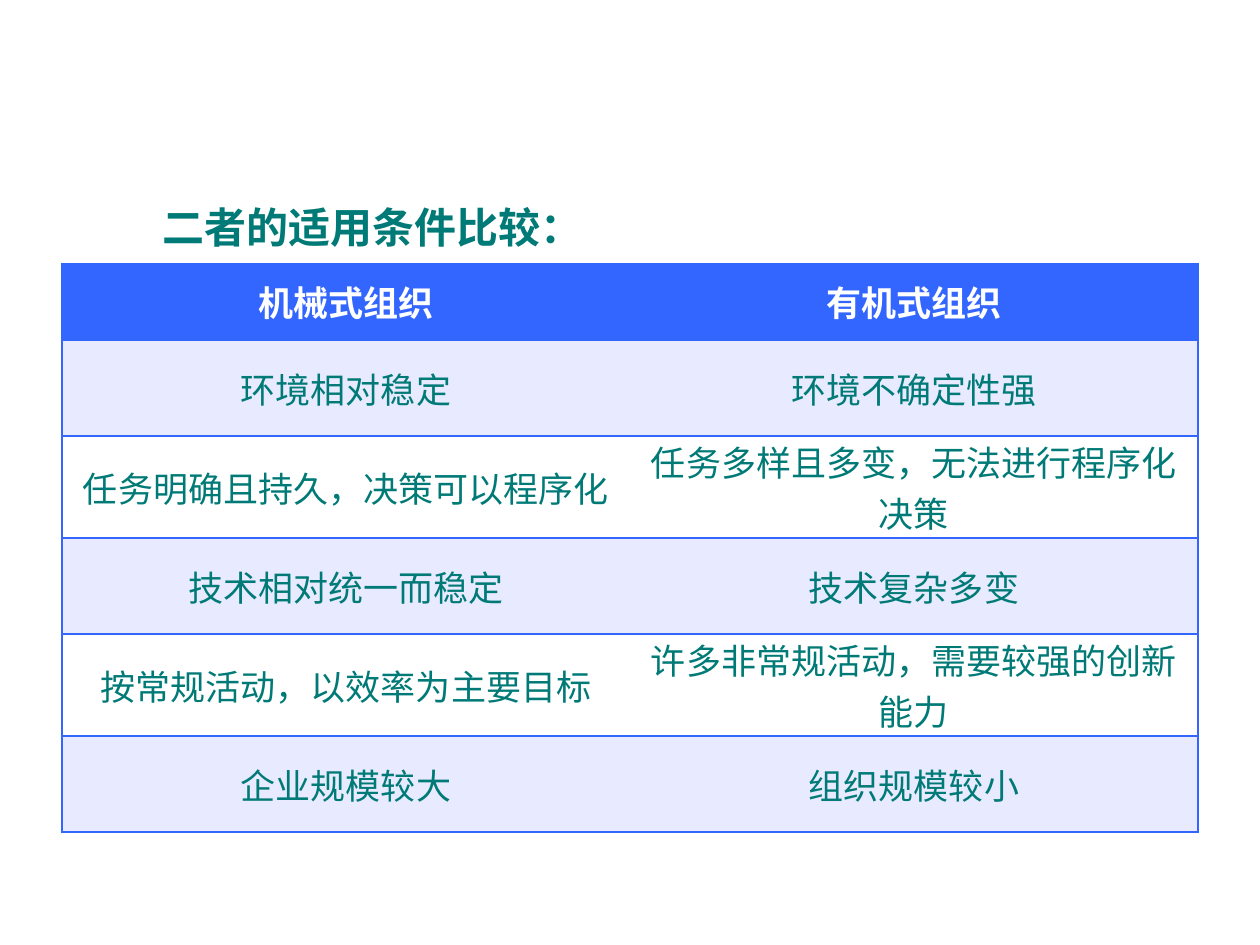
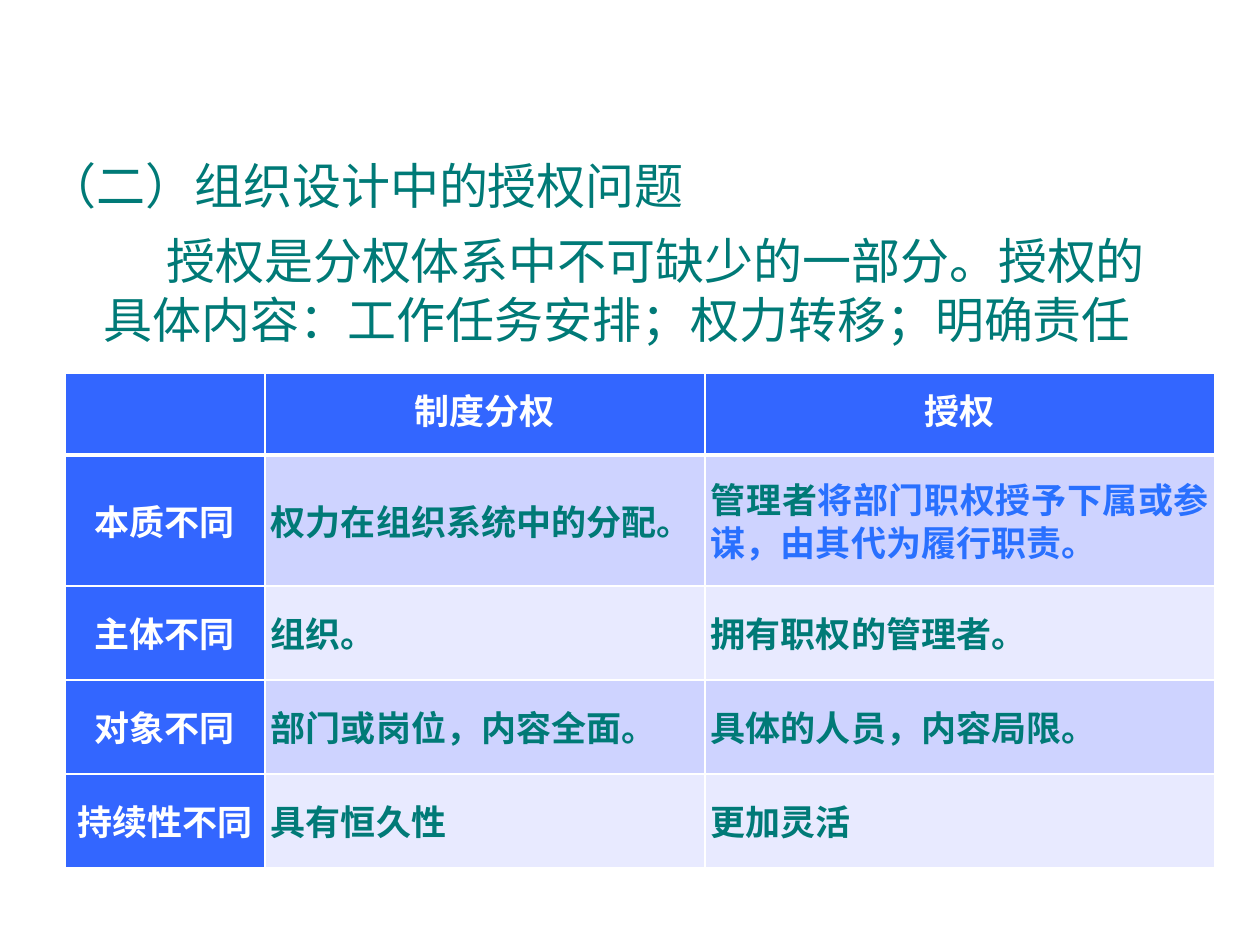
from lxml import etree
from pptx import Presentation
from pptx.dml.color import RGBColor
from pptx.enum.text import MSO_ANCHOR as ANCHOR, MSO_AUTO_SIZE as AUTO_SIZE, PP_ALIGN as ALIGN
from pptx.oxml.ns import qn
from pptx.util import Pt

EMU_PER_PX = 914400 / 126
TITLE_ONLY = 5
COLORS = {
    "teal": "007A77",
    "blue": "3366FF",
    "accent": "2970FF",
    "band": "CED3FF",
    "pale": "E8EAFF",
    "white": "FFFFFF",
}
LATIN, CJK = "Arial", "Noto Sans CJK SC"

HEADING = {"font": {"name": LATIN, "size": Pt(24), "bold": True}, "color": "teal",
           "paragraph": {"alignment": ALIGN.LEFT, "line_spacing": 1.0}}
SECTION = {"font": {"name": CJK, "size": Pt(28), "bold": False}, "color": "teal",
           "paragraph": {"alignment": ALIGN.LEFT, "line_spacing": 0.9}}
BODY = {**SECTION, "font": {"name": LATIN, "size": Pt(28), "bold": False},
        "paragraph": {"alignment": ALIGN.LEFT}}
CELL_BOLD = {"name": LATIN, "size": Pt(20), "bold": True}
LABEL = {"font": CELL_BOLD, "color": "white",
         "paragraph": {"alignment": ALIGN.CENTER, "line_spacing": Pt(25)}}
COLUMN_HEAD = {**LABEL, "paragraph": {"alignment": ALIGN.CENTER, "line_spacing": 1.5}}
DIFFERENCE = {"font": CELL_BOLD, "color": "teal",
              "paragraph": {"alignment": ALIGN.JUSTIFY, "line_spacing": Pt(25)}}
CONDITION = {"font": {"name": CJK, "size": Pt(20), "bold": False}, "color": "teal",
             "paragraph": {"alignment": ALIGN.CENTER}}

CONDITIONS = [
    ("机械式组织", "有机式组织"),
    ("环境相对稳定", "环境不确定性强"),
    ("任务明确且持久，决策可以程序化", "任务多样且多变，无法进行程序化决策"),
    ("技术相对统一而稳定", "技术复杂多变"),
    ("按常规活动，以效率为主要目标", "许多非常规活动，需要较强的创新能力"),
    ("企业规模较大", "组织规模较小"),
]
DIFFERENCES = [
    ("", "制度分权", "授权"),
    ("本质不同", "权力在组织系统中的分配。",
     [("管理者", "teal"), ("将部门职权授予下属或参谋，由其代为履行职责。", "accent")]),
    ("主体不同", "组织。", "拥有职权的管理者。"),
    ("对象不同", "部门或岗位，内容全面。", "具体的人员，内容局限。"),
    ("持续性不同", "具有恒久性", "更加灵活"),
]


def px(length):
    return round(length * EMU_PER_PX)


def rgb(color):
    return RGBColor.from_string(COLORS[color])


def set_all(target, values):
    for attribute, value in values.items():
        setattr(target, attribute, value)


def write(frame, content, style, indent=0):
    """Fill the first paragraph with a string or a list of (text, colour) pairs."""
    paragraph = frame.paragraphs[0]
    set_all(paragraph, {"space_before": Pt(0), **style["paragraph"]})
    if indent:
        paragraph._p.get_or_add_pPr().set("indent", str(px(indent)))
    pieces = [(content, style["color"])] if isinstance(content, str) else content
    for text, color in pieces:
        run = paragraph.add_run()
        run.text = text
        set_all(run.font, style["font"])
        run.font.color.rgb = rgb(color)
        east_asian = etree.Element(qn("a:ea"), typeface=style["font"]["name"])
        run.font._element.find(qn("a:latin")).addnext(east_asian)


def place_text(shape, box, content, style, anchor=ANCHOR.TOP, indent=0):
    set_all(shape, dict(zip(("left", "top", "width", "height"), map(px, box))))
    frame = shape.text_frame
    set_all(frame, {"word_wrap": True, "auto_size": AUTO_SIZE.NONE,
                    "vertical_anchor": anchor})
    write(frame, content, style, indent)


def set_borders(cell, color, widths):
    """Draw the sides named in widths (points) and clear the other sides."""
    properties = cell._tc.get_or_add_tcPr()
    for position, side in enumerate("LRTB"):
        line = etree.Element(qn(f"a:ln{side}"))
        if side in widths:
            line.set("w", str(Pt(widths[side])))
            fill = etree.SubElement(line, qn("a:solidFill"))
            etree.SubElement(fill, qn("a:srgbClr"), val=COLORS[color])
        else:
            etree.SubElement(line, qn("a:noFill"))
        properties.insert(position, line)


def add_grid(slide, origin, widths, heights, rows, format_cell):
    """Add a table; format_cell(row, column) gives style, fill, inset, anchor, borders."""
    box = (*origin, sum(widths), sum(heights))
    table = slide.shapes.add_table(len(rows), len(widths), *map(px, box)).table
    set_all(table, {"first_row": False, "horz_banding": False})
    for column, width in zip(table.columns, widths):
        column.width = px(width)
    for row, height in zip(table.rows, heights):
        row.height = px(height)
    for r, contents in enumerate(rows):
        for c, content in enumerate(contents):
            cell = table.cell(r, c)
            style, fill, inset, anchor, borders = format_cell(r, c)
            set_all(cell, {"margin_left": px(inset), "margin_right": px(inset),
                           "margin_top": 0, "margin_bottom": 0,
                           "vertical_anchor": anchor})
            cell.fill.solid()
            cell.fill.fore_color.rgb = rgb(fill)
            set_borders(cell, *borders)
            if content:
                write(cell.text_frame, content, style)


def condition_format(row, column):
    outer_side = "LR"[column]
    borders = ("blue", {outer_side: 1, "T": 1, "B": 1})
    if row == 0:
        return LABEL, "blue", 6, ANCHOR.MIDDLE, borders
    return CONDITION, "pale" if row % 2 else "white", 9, ANCHOR.MIDDLE, borders


def difference_format(row, column):
    sides = dict.fromkeys("LRTB", 1)
    if row == 0:
        return COLUMN_HEAD, "blue", 6, ANCHOR.TOP, ("white", {**sides, "B": 3})
    if row == 1:
        sides["T"] = 3
    style, fill = (DIFFERENCE, "band" if row % 2 else "pale") if column else (LABEL, "blue")
    return style, fill, 6, ANCHOR.MIDDLE, ("white", sides)


def add_conditions_slide(deck):
    slide = deck.slides.add_slide(deck.slide_layouts[TITLE_ONLY])
    place_text(slide.shapes.title, (87, 195, 1086, 91), "二者的适用条件比较：",
               HEADING, indent=63)
    add_grid(slide, (62, 264), [568, 568], [76, 96, 102, 96, 102, 96],
             CONDITIONS, condition_format)


def add_delegation_slide(deck):
    slide = deck.slides.add_slide(deck.slide_layouts[TITLE_ONLY])
    place_text(slide.shapes.title, (35, 135, 1181, 107), "（二）组织设计中的授权问题",
               SECTION, ANCHOR.MIDDLE)
    place_text(slide.shapes.add_textbox(0, 0, 0, 0), (91, 224, 1086, 79),
               "授权是分权体系中不可缺少的一部分。授权的具体内容：工作任务安排；权力转移；明确责任",
               BODY, indent=63)
    add_grid(slide, (65, 373), [200, 440, 510], [82, 131, 94, 94, 94],
             DIFFERENCES, difference_format)


def main():
    deck = Presentation()
    deck.slide_width, deck.slide_height = px(1260), px(945)
    add_conditions_slide(deck)
    add_delegation_slide(deck)
    deck.save("out.pptx")


if __name__ == "__main__":
    main()
